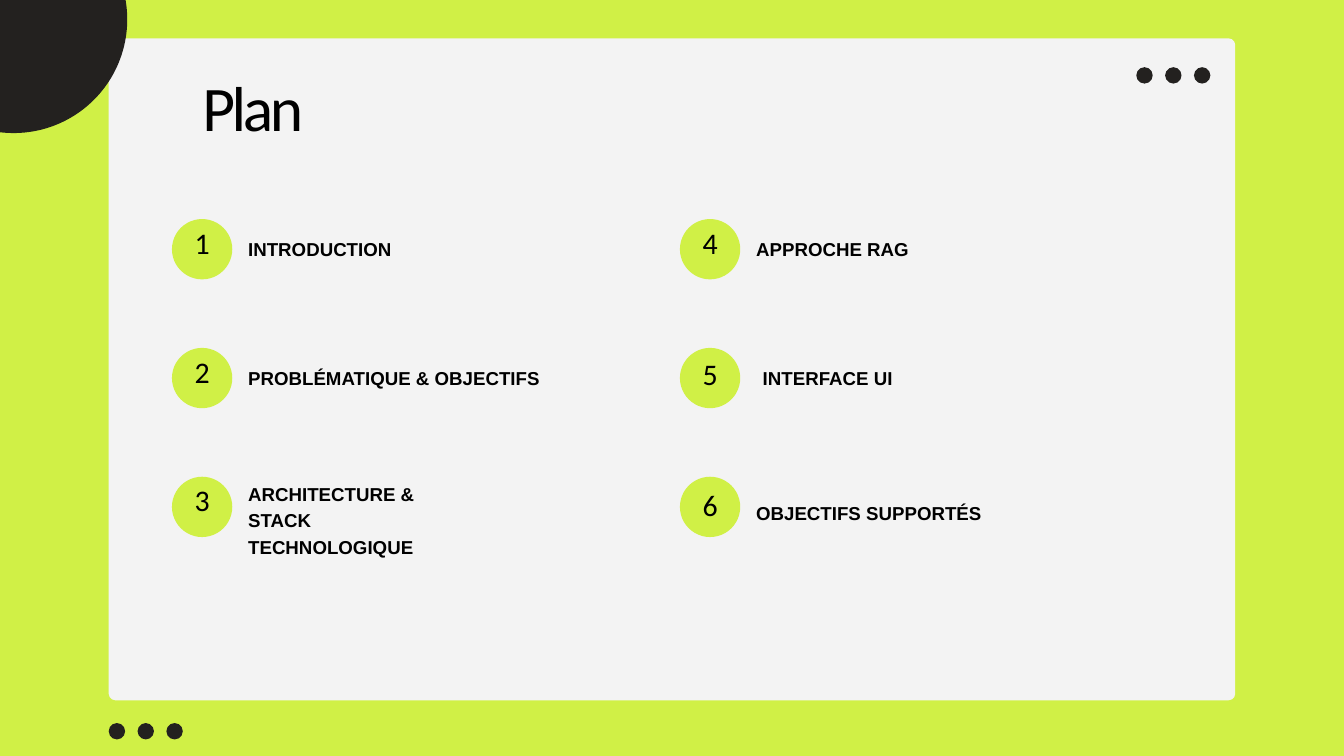
from dataclasses import dataclass

from pptx import Presentation
from pptx.dml.color import RGBColor
from pptx.enum.shapes import MSO_SHAPE as Shape
from pptx.enum.text import MSO_AUTO_SIZE as AutoSize, PP_ALIGN as Align
from pptx.util import Cm, Pt

COLORS = {"lime": "D0F046", "panel": "F3F3F3", "dark": "23211F", "text": "000000"}

COLUMNS = (6.5, 25.7)
FIRST_ROW, ROW_PITCH, ROWS = 8.28, 4.87, 3
BADGE_SIZE, NUMBER_WIDTH = 2.28, 1.22
DOT_SIZE, DOT_PITCH = 0.62, 1.09


@dataclass(frozen=True)
class PlanItem:
    """Offsets are in cm from the top left corner of the badge."""
    label: str
    width: float
    height: float = 0.97
    label_dx: float = 2.88
    label_dy: float = 0.58
    number_dy: float = 0.43


@dataclass(frozen=True)
class TextStyle:
    font: str
    size: float
    line: float
    bold: bool = False
    tracking: float = 0
    align: Align = Align.LEFT


TITLE = TextStyle("Calibri", 68, 68, tracking=-3.7)
NUMBER = TextStyle("Calibri", 32, 32, tracking=-1.8, align=Align.CENTER)
LABEL = TextStyle("Arial", 20, 28, bold=True)

ITEMS = (
    PlanItem("INTRODUCTION", 8.79),
    PlanItem("PROBLÉMATIQUE & OBJECTIFS", 14.96),
    PlanItem("ARCHITECTURE & STACK TECHNOLOGIQUE", 8.79, height=1.95, label_dy=0.1),
    PlanItem("APPROCHE RAG", 8.79),
    PlanItem("INTERFACE UI", 8.79, label_dx=3.13, number_dy=0.51),
    PlanItem("OBJECTIFS SUPPORTÉS", 10.41, label_dy=0.79, number_dy=0.61),
)


def rgb(name: str) -> RGBColor:
    return RGBColor.from_string(COLORS[name])


def add_filled(slide, kind: Shape, x: float, y: float, w: float, h: float, color: str):
    sp = slide.shapes.add_shape(kind, Cm(x), Cm(y), Cm(w), Cm(h))
    sp.shadow.inherit = False
    sp.fill.solid()
    sp.fill.fore_color.rgb = rgb(color)
    sp.line.fill.background()
    return sp


def add_circle(slide, x: float, y: float, size: float, color: str) -> None:
    add_filled(slide, Shape.OVAL, x, y, size, size, color)


def add_dots(slide, x: float, y: float) -> None:
    for i in range(3):
        add_circle(slide, x + i * DOT_PITCH, y, DOT_SIZE, "dark")


def add_text(slide, text: str, x: float, y: float, w: float, h: float,
             style: TextStyle) -> None:
    tf = slide.shapes.add_textbox(Cm(x), Cm(y), Cm(w), Cm(h)).text_frame
    tf.word_wrap = True
    tf.auto_size = AutoSize.SHAPE_TO_FIT_TEXT
    tf.margin_left = tf.margin_top = tf.margin_right = tf.margin_bottom = 0
    p = tf.paragraphs[0]
    p.alignment = style.align
    p.line_spacing = Pt(style.line)
    p.font.name = style.font
    p.font.size = Pt(style.size)
    p.font.bold = style.bold
    p.font.color.rgb = rgb("text")
    r = p.add_run()
    r.text = text
    if style.tracking:
        r._r.get_or_add_rPr().set("spc", str(round(style.tracking * 100)))


def add_item(slide, index: int, item: PlanItem) -> None:
    column, row = divmod(index, ROWS)
    x, y = COLUMNS[column], FIRST_ROW + row * ROW_PITCH
    add_circle(slide, x, y, BADGE_SIZE, "lime")
    add_text(slide, str(index + 1), x + (BADGE_SIZE - NUMBER_WIDTH) / 2,
             y + item.number_dy, NUMBER_WIDTH, 1.4, NUMBER)
    add_text(slide, item.label, x + item.label_dx, y + item.label_dy,
             item.width, item.height, LABEL)


def main() -> None:
    prs = Presentation()
    prs.slide_width, prs.slide_height = Cm(50.8), Cm(28.575)
    slide = prs.slides.add_slide(prs.slide_layouts[6])
    slide.background.fill.solid()
    slide.background.fill.fore_color.rgb = rgb("lime")

    panel = add_filled(slide, Shape.ROUNDED_RECTANGLE, 4.11, 1.45, 42.58, 25.02, "panel")
    panel.adjustments[0] = 0.01
    add_text(slide, "Plan", 7.65, 3.07, 15.27, 2.97, TITLE)
    add_circle(slide, -3.78, -3.56, 8.59, "dark")
    add_dots(slide, 42.95, 2.54)
    add_dots(slide, 4.11, 27.33)
    for index, item in enumerate(ITEMS):
        add_item(slide, index, item)

    prs.save("out.pptx")


if __name__ == "__main__":
    main()
